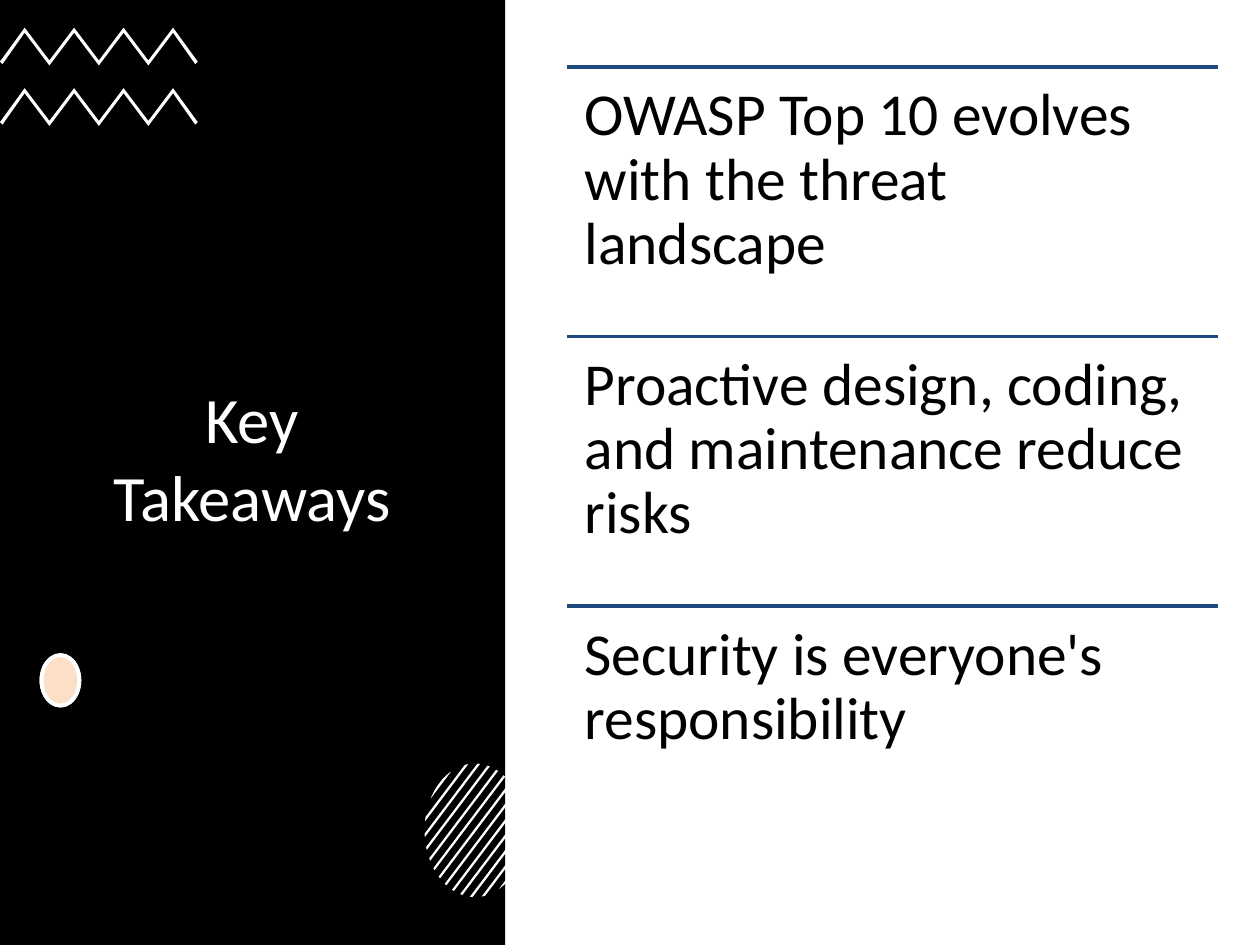
from dataclasses import dataclass
from math import acos, cos, pi, sin

from pptx import Presentation
from pptx.dml.color import RGBColor
from pptx.enum.shapes import MSO_CONNECTOR, MSO_SHAPE
from pptx.enum.text import MSO_ANCHOR, PP_ALIGN
from pptx.oxml.xmlchemy import OxmlElement
from pptx.util import Inches, Pt


@dataclass(frozen=True)
class Theme:
    """Colours, font and type sizes of the deck."""
    panel: str = "000000"
    paper: str = "FFFFFF"
    ink: str = "000000"
    rule: str = "1D497D"
    accent: str = "F79646"
    font: str = "Calibri"
    title_size: float = 37
    body_size: float = 34


def write(frame, text, *, size, color, font, align=PP_ALIGN.LEFT,
          anchor=MSO_ANCHOR.TOP, margins=(0.1, 0.05), line_spacing=None):
    """Fill a text frame with one formatted paragraph."""
    frame.word_wrap = True
    frame.vertical_anchor = anchor
    frame.margin_left = frame.margin_right = Inches(margins[0])
    frame.margin_top = frame.margin_bottom = Inches(margins[1])
    para = frame.paragraphs[0]
    para.alignment = align
    if line_spacing:
        para.line_spacing = line_spacing
    span = para.add_run()
    span.text = text
    span.font.size = Pt(size)
    span.font.name = font
    span.font.color.rgb = RGBColor.from_string(color)


class Painter:
    """Draws themed elements on the current slide."""

    def __init__(self, page, theme):
        """Keep the slide and its style."""
        self.page = page
        self.theme = theme

    def group(self):
        """Return the shapes of a new group."""
        return self.page.shapes.add_group_shape().shapes

    def shape(self, kind, left, top, width, height, fill, line=None, alpha=None):
        """Add a preset shape with an optional outline and opacity."""
        shape = self.page.shapes.add_shape(
            kind, Inches(left), Inches(top), Inches(width), Inches(height))
        shape.shadow.inherit = False
        shape.fill.solid()
        shape.fill.fore_color.rgb = RGBColor.from_string(fill)
        if alpha is not None:
            opacity = OxmlElement("a:alpha")
            opacity.set("val", str(alpha * 1000))
            shape.element.spPr.find(".//{*}srgbClr").append(opacity)
        if line:
            shape.line.color.rgb = RGBColor.from_string(line)
            shape.line.width = Pt(2.25)
        else:
            shape.line.fill.background()
        return shape

    def title(self, text, left, top, width, height, behind):
        """Place the title placeholder in front of a backing shape."""
        title = self.page.shapes.title
        title.left, title.top = Inches(left), Inches(top)
        title.width, title.height = Inches(width), Inches(height)
        title.element.addprevious(behind.element)
        write(title.text_frame, text, size=self.theme.title_size,
              color=self.theme.paper, font=self.theme.font,
              align=PP_ALIGN.CENTER, anchor=MSO_ANCHOR.MIDDLE)

    def polygon(self, shapes, points):
        """Add a closed white outline through points given in inches."""
        corners = [(Inches(x), Inches(y)) for x, y in points]
        builder = shapes.build_freeform(*corners[0])
        builder.add_line_segments(corners[1:], close=True)
        shape = builder.convert_to_shape()
        shape.shadow.inherit = False
        shape.fill.solid()
        shape.fill.fore_color.rgb = RGBColor.from_string(self.theme.paper)
        shape.line.fill.background()

    def zigzag(self, shapes, top, width=1.57, teeth=8):
        """Add a zigzag band starting at the left edge."""
        step = width / teeth
        upper = [(i * step, top + (0 if i % 2 else 0.26)) for i in range(1, teeth)]
        lower = [(x, y + 0.04) for x, y in reversed(upper)]
        self.polygon(shapes, [(0, top + 0.27), *upper, (width, top + 0.27),
                              (width - 0.02, top + 0.29), *lower, (0.02, top + 0.29)])

    def hatched_oval(self, center_x, center_y, radius_x, radius_y):
        """Add an oval made of evenly spaced diagonal stripes."""
        shapes = self.group()
        pitch, half_width, steps = 0.163, 0.02, 6
        for index in range(-6, 7):
            near, far = (acos(index * pitch + side * half_width) for side in (-1, 1))
            arc = [near + (far - near) * i / steps for i in range(steps + 1)]
            angles = [pi / 4 - a for a in arc] + [pi / 4 + a for a in reversed(arc)]
            self.polygon(shapes, [(center_x + radius_x * cos(a),
                                   center_y + radius_y * sin(a)) for a in angles])

    def takeaway(self, shapes, text, left, top, width, height):
        """Add a rule with a statement below it."""
        rule = shapes.add_connector(MSO_CONNECTOR.STRAIGHT, Inches(left), Inches(top),
                                    Inches(left + width), Inches(top))
        rule.line.color.rgb = RGBColor.from_string(self.theme.rule)
        rule.line.width = Pt(2)
        rule.element.spPr.append(OxmlElement("a:effectLst"))
        box = shapes.add_textbox(Inches(left), Inches(top), Inches(width), Inches(height))
        write(box.text_frame, text, size=self.theme.body_size, color=self.theme.ink,
              font=self.theme.font, margins=(0.14, 0.14), line_spacing=0.9)


def main():
    """Build the key takeaways slide."""
    deck = Presentation()
    deck.slide_width, deck.slide_height = Inches(10), Inches(7.5)
    page = deck.slides.add_slide(deck.slide_layouts[5])
    theme = Theme()
    painter = Painter(page, theme)
    page.background.fill.solid()
    page.background.fill.fore_color.rgb = RGBColor.from_string(theme.paper)

    panel = painter.shape(MSO_SHAPE.RECTANGLE, 0, 0, 4.01, 7.5, theme.panel)
    painter.title("Key Takeaways", 0.69, 1.31, 2.62, 4.63, behind=panel)

    zigzags = painter.group()
    for top in (0.22, 0.7):
        painter.zigzag(zigzags, top)
    for fill, alpha in ((theme.paper, None), (theme.accent, 30)):
        painter.shape(MSO_SHAPE.OVAL, 0.33, 5.2, 0.3, 0.4, fill, theme.paper, alpha)
    painter.hatched_oval(3.77, 6.59, 0.4, 0.53)

    takeaways = ("OWASP Top 10 evolves with the threat landscape",
                 "Proactive design, coding, and maintenance reduce risks",
                 "Security is everyone's responsibility")
    height = 2.14
    statements = painter.group()
    for index, text in enumerate(takeaways):
        painter.takeaway(statements, text, 4.5, 0.53 + index * height, 5.17, height)
    deck.save("out.pptx")


if __name__ == "__main__":
    main()
